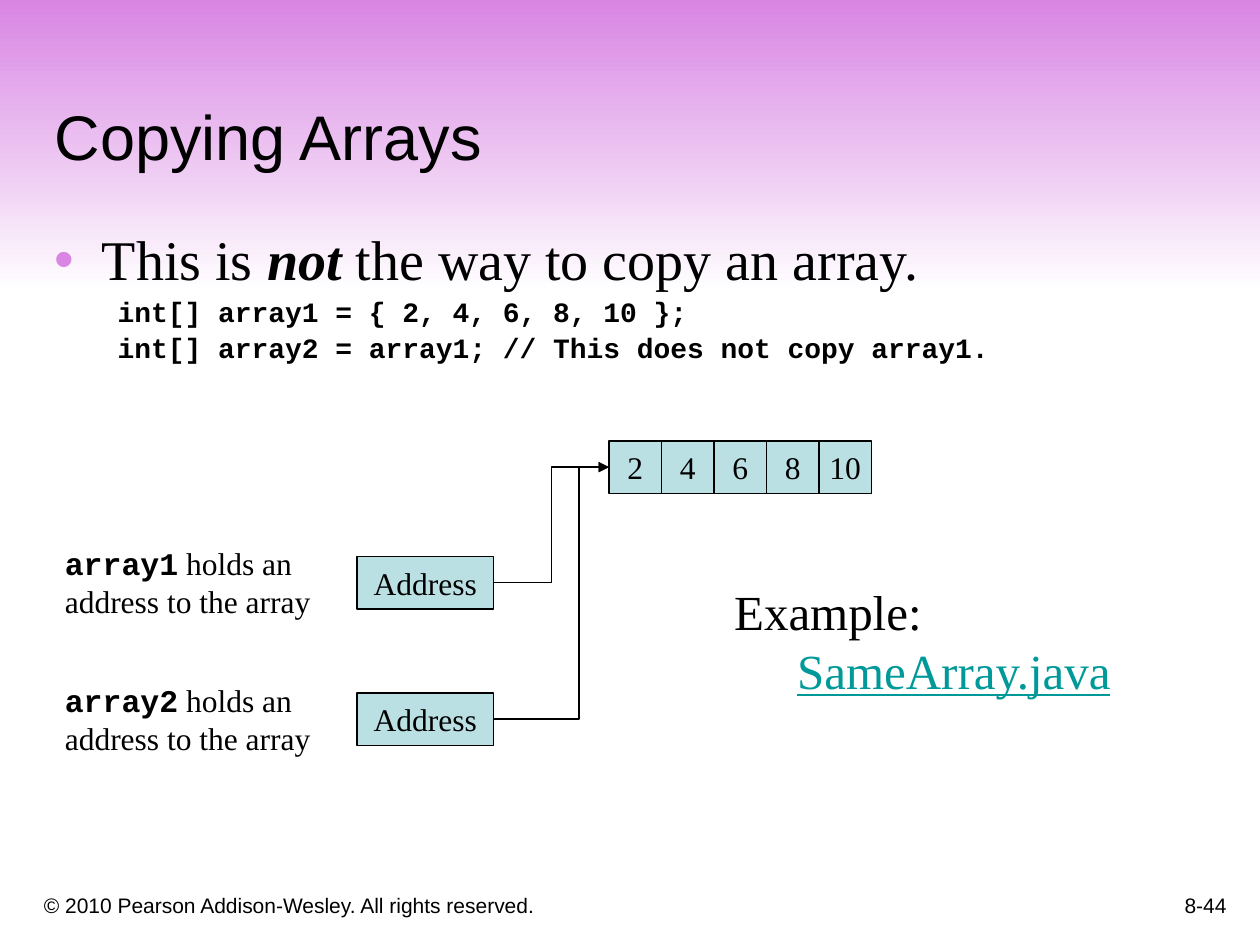
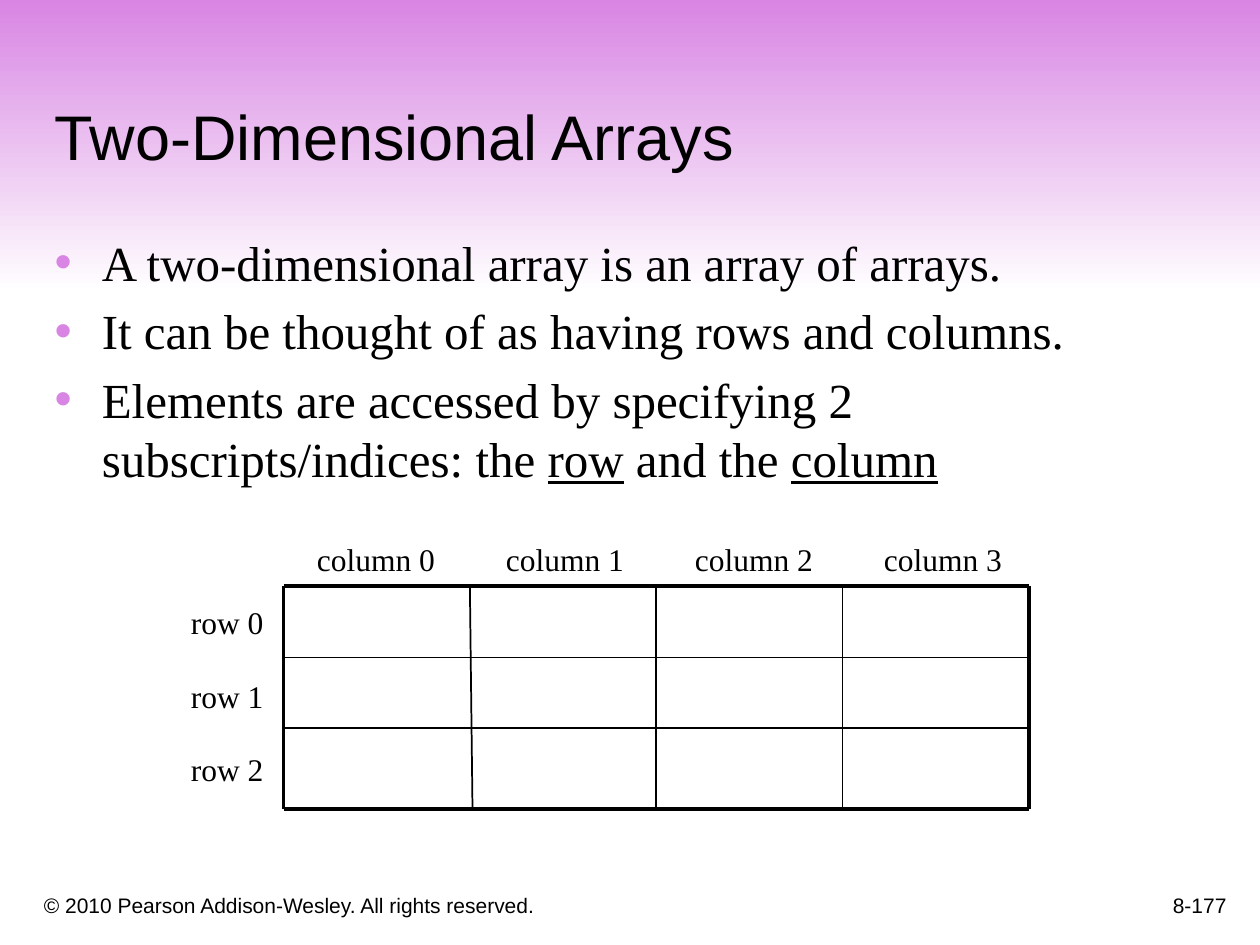
from dataclasses import dataclass
from typing import NamedTuple, Optional

import lxml.etree
import pptx
import pptx.dml.color
import pptx.enum.dml
import pptx.enum.shapes
import pptx.enum.text
import pptx.oxml.ns
import pptx.util

Pt = pptx.util.Pt
RGBColor = pptx.dml.color.RGBColor
Align = pptx.enum.text.PP_ALIGN
Anchor = pptx.enum.text.MSO_ANCHOR
AutoSize = pptx.enum.text.MSO_AUTO_SIZE
Preset = pptx.enum.shapes.MSO_SHAPE
Connector = pptx.enum.shapes.MSO_CONNECTOR
qn = pptx.oxml.ns.qn

BLACK = RGBColor(0x00, 0x00, 0x00)
WHITE = RGBColor(0xFF, 0xFF, 0xFF)
ORCHID = RGBColor(0xD8, 0x85, 0xE3)
PALE_TEAL = RGBColor(0xBB, 0xE0, 0xE3)
LINK_TEAL = RGBColor(0x00, 0x99, 0x99)

SANS = "Arial"
SERIF = "Times New Roman"
MONO = "Courier New"

COPYRIGHT = "© 2010 Pearson Addison-Wesley. All rights reserved."
LINE_BREAK = "\n"


class Box(NamedTuple):
    left: float
    top: float
    width: float
    height: float

    def lengths(self) -> tuple:
        return tuple(Pt(value) for value in self)


class Rule(NamedTuple):
    x1: float
    y1: float
    x2: float
    y2: float
    weight: float


@dataclass(frozen=True)
class Span:
    text: str
    font: str = SERIF
    size: float = 18
    color: RGBColor = BLACK
    bold: bool = False
    italic: bool = False
    underline: bool = False


@dataclass(frozen=True)
class Line:
    spans: tuple
    align: Align = Align.LEFT
    level: int = 0
    indent: float = 0
    hanging: float = 0
    spacing: float = 1.0
    before: float = 0
    bulleted: bool = False


BAND = Box(0, -0.5, 720, 168)
TITLE = Box(24, 24, 678, 78.5)
COPYRIGHT_BOX = Box(18, 498, 438, 30)
PAGE_BOX = Box(558, 492, 150, 36)


def set_bullet(paragraph, bulleted: bool) -> None:
    properties = paragraph._p.get_or_add_pPr()
    if not bulleted:
        lxml.etree.SubElement(properties, qn("a:buNone"))
        return
    bullet_color = lxml.etree.SubElement(properties, qn("a:buClr"))
    lxml.etree.SubElement(bullet_color, qn("a:srgbClr"), val=str(ORCHID))
    lxml.etree.SubElement(properties, qn("a:buChar"), char="•")


def write_line(paragraph, line: Line) -> None:
    set_bullet(paragraph, line.bulleted)
    properties = paragraph._p.get_or_add_pPr()
    properties.set("marL", str(Pt(line.indent)))
    properties.set("indent", str(-Pt(line.hanging)))
    paragraph.alignment = line.align
    paragraph.level = line.level
    paragraph.line_spacing = line.spacing
    paragraph.space_before = Pt(line.before)
    for span in line.spans:
        if span.text == LINE_BREAK:
            paragraph.add_line_break()
            continue
        run = paragraph.add_run()
        run.text = span.text
        run.font.name = span.font
        run.font.size = Pt(span.size)
        run.font.color.rgb = span.color
        run.font.bold = span.bold
        run.font.italic = span.italic
        run.font.underline = span.underline


def write_text(frame, *lines: Line, anchor: Anchor = Anchor.TOP,
               wrap: bool = True, fit: AutoSize = AutoSize.NONE) -> None:
    frame.vertical_anchor = anchor
    frame.word_wrap = wrap
    frame.auto_size = fit
    for index, line in enumerate(lines):
        paragraph = frame.add_paragraph() if index else frame.paragraphs[0]
        write_line(paragraph, line)


def add_label(slide, box: Box, *lines: Line) -> None:
    label = slide.shapes.add_textbox(*box.lengths())
    write_text(label.text_frame, *lines, wrap=False, fit=AutoSize.SHAPE_TO_FIT_TEXT)


def add_footer(slide, box: Box, text: str, align: Align) -> None:
    footer = slide.shapes.add_textbox(*box.lengths())
    write_text(footer.text_frame, Line((Span(text, SANS, 12),), align),
               anchor=Anchor.BOTTOM)


def place(placeholder, box: Box) -> None:
    placeholder.left, placeholder.top, placeholder.width, placeholder.height = box.lengths()


def add_band(slide) -> None:
    band = slide.shapes.add_shape(Preset.RECTANGLE, *BAND.lengths())
    band.shadow.inherit = False
    band.line.fill.background()
    band.fill.gradient()
    band.fill.gradient_angle = 270
    for stop, position, color in zip(band.fill.gradient_stops, (0, 1), (ORCHID, WHITE)):
        stop.position = position
        stop.color.rgb = color
    slide.shapes._spTree.insert(2, band._element)


def add_lesson(deck, title: str, page: str, body_height: float, *body_lines: Line):
    slide = deck.slides.add_slide(deck.slide_layouts[1])
    add_band(slide)
    place(slide.shapes.title, TITLE)
    write_text(slide.shapes.title.text_frame, Line((Span(title, SANS, 36),)),
               anchor=Anchor.BOTTOM)
    body = slide.placeholders[1]
    place(body, Box(24, 126, 653, body_height))
    body.text_frame.margin_top = Pt(6.6)
    body.text_frame.margin_right = 0
    write_text(body.text_frame, *body_lines)
    add_footer(slide, COPYRIGHT_BOX, COPYRIGHT, Align.LEFT)
    add_footer(slide, PAGE_BOX, page, Align.RIGHT)
    return slide


def add_cell(slide, box: Box, text: str):
    cell = slide.shapes.add_shape(Preset.RECTANGLE, *box.lengths())
    cell.shadow.inherit = False
    cell.fill.solid()
    cell.fill.fore_color.rgb = PALE_TEAL
    cell.line.color.rgb = BLACK
    cell.line.width = Pt(0.75)
    write_text(cell.text_frame, Line((Span(text),), Align.CENTER),
               anchor=Anchor.MIDDLE, wrap=False)
    return cell


def style_line(connector, weight: float) -> None:
    connector.line.color.rgb = BLACK
    connector.line.width = Pt(weight)
    lxml.etree.SubElement(connector._element.spPr, qn("a:effectLst"))


def add_reference(slide, address, first_element, bend: float) -> None:
    reference = slide.shapes.add_connector(
        Connector.ELBOW,
        address.left + address.width, address.top + address.height // 2,
        first_element.left, first_element.top + first_element.height // 2)
    reference.begin_connect(address, 3)
    reference.end_connect(first_element, 1)
    guides = reference._element.spPr.find(qn("a:prstGeom")).get_or_add_avLst()
    lxml.etree.SubElement(guides, qn("a:gd"), name="adj1",
                          fmla=f"val {round(bend * 100000)}")
    style_line(reference, 0.75)
    lxml.etree.SubElement(reference.line._get_or_add_ln(), qn("a:tailEnd"), type="triangle")


def add_rule(slide, rule: Rule) -> None:
    ends = (Pt(value) for value in rule[:4])
    style_line(slide.shapes.add_connector(Connector.STRAIGHT, *ends), rule.weight)


def code_line(text: str) -> Line:
    return Line((Span(text, MONO, 16, bold=True),), level=1, indent=58.5,
                hanging=22.5, spacing=0.9, before=3.2)


def bullet(*spans: Span, spacing: float = 1.0, before: float = 0) -> Line:
    return Line(spans, indent=27, hanging=27, spacing=spacing, before=before,
                bulleted=True)


def build_copying_arrays(deck) -> None:
    slide = add_lesson(
        deck, "Copying Arrays", "8-44", 110,
        bullet(Span("This is ", size=32),
               Span("not", size=32, bold=True, italic=True),
               Span(" the way to copy an array.", size=32), spacing=0.9),
        code_line("int[] array1 = { 2, 4, 6, 8, 10 };"),
        code_line("int[] array2 = array1; // This does not copy array1."))

    side = 30
    elements = [add_cell(slide, Box(348 + side * index, 252, side, side), value)
                for index, value in enumerate(("2", "4", "6", "8", "10"))]

    for variable, top, bend in (("array1", 318, 0.5), ("array2", 396, 0.74)):
        address = add_cell(slide, Box(204, top, 78, side), "Address")
        add_label(slide, Box(30, top - 10.5, 155, 50.5),
                  Line((Span(variable, MONO, bold=True), Span(" holds an"))),
                  Line((Span("address to the array"),)))
        add_reference(slide, address, elements[0], bend)

    add_label(slide, Box(412.5, 329, 232, 74),
              Line((Span("Example:", size=28), Span(LINE_BREAK),
                    Span("SameArray.java", size=28, color=LINK_TEAL, underline=True)),
                   indent=36, hanging=36))


def build_two_dimensional_arrays(deck) -> None:
    slide = add_lesson(
        deck, "Two-Dimensional Arrays", "8-177", 163,
        bullet(Span("A two-dimensional array is an array of arrays.", size=28)),
        bullet(Span("It can be thought of as having rows and columns.", size=28),
               before=5.6),
        bullet(Span("Elements are accessed by specifying 2 subscripts/indices: the ", size=28),
               Span("row", size=28, underline=True),
               Span(" and the ", size=28),
               Span("column", size=28, underline=True), before=5.6))

    row_edges = (334.8, 375.8, 416.2, 462.2)
    column_edges = [162 + 106.5 * index for index in range(5)]
    column_feet = [162, 270, *column_edges[2:]]
    left, right = column_edges[0], column_edges[-1]
    top, bottom = row_edges[0], row_edges[-1]

    for y in row_edges:
        add_rule(slide, Rule(left, y, right, y, 2.25 if y in (top, bottom) else 1))
    for x, foot in zip(column_edges, column_feet):
        add_rule(slide, Rule(x, top, foot, bottom, 2.25 if x in (left, right) else 1))

    for row in range(3):
        add_label(slide, Box(102, 341.3 + 41.8 * row, 56, 29), Line((Span(f"row {row}"),)))
    for column in range(4):
        add_label(slide, Box(174 + 108 * column, 305.3, 82, 29),
                  Line((Span(f"column {column}"),)))


def main() -> None:
    deck = pptx.Presentation()
    deck.slide_width, deck.slide_height = Pt(720), Pt(540)
    build_copying_arrays(deck)
    build_two_dimensional_arrays(deck)
    deck.save("out.pptx")


if __name__ == "__main__":
    main()
